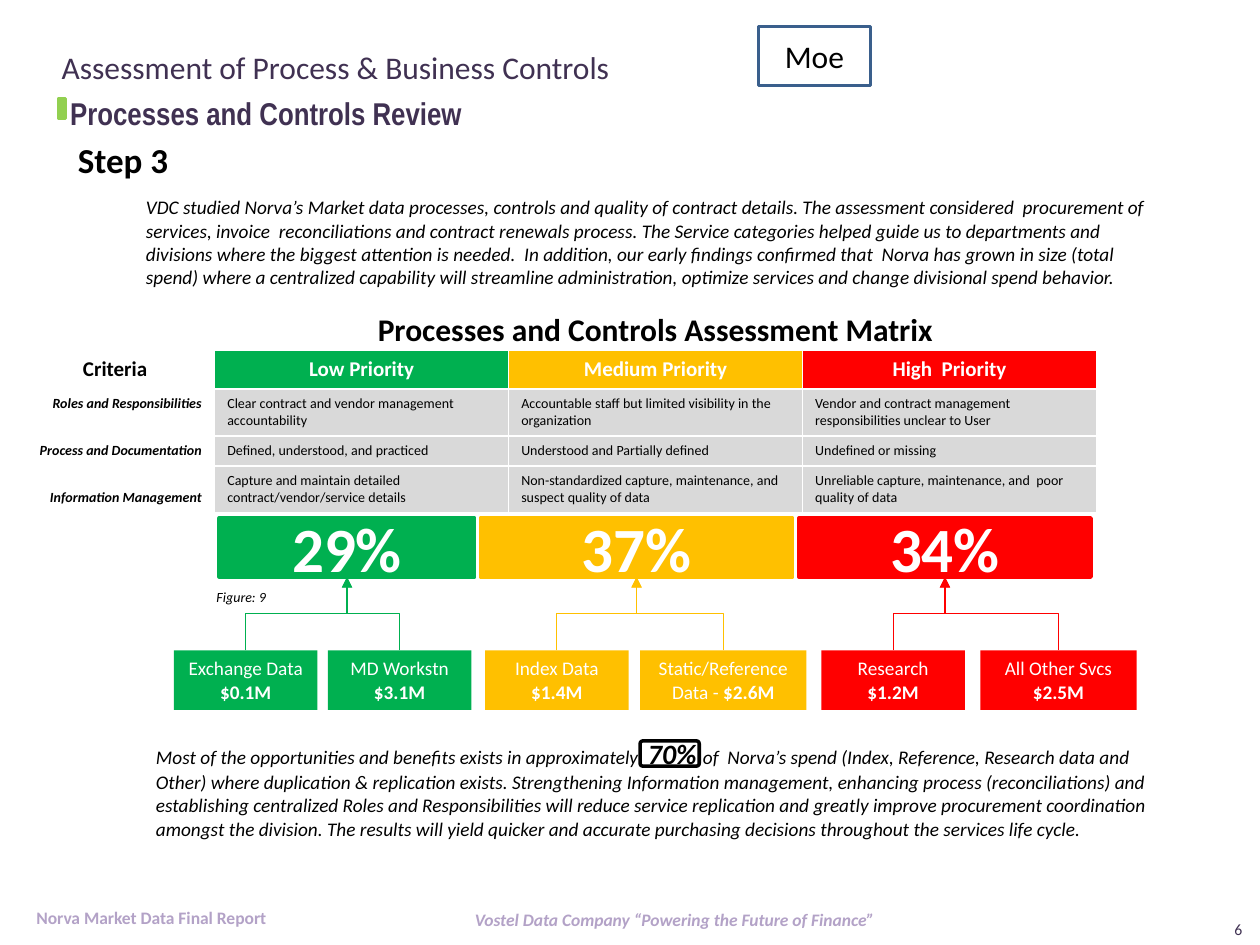
from pptx import Presentation
from pptx.dml.color import RGBColor
from pptx.enum.shapes import MSO_CONNECTOR as Connector, MSO_SHAPE as Shape
from pptx.enum.text import MSO_ANCHOR as Anchor, MSO_AUTO_SIZE as AutoSize, PP_ALIGN as Align
from pptx.oxml.ns import qn
from pptx.util import Pt
from lxml.etree import SubElement

GREEN = RGBColor(0x00, 0xB0, 0x50)
AMBER = RGBColor(0xFF, 0xC0, 0x00)
RED = RGBColor(0xFF, 0x00, 0x00)
LIME = RGBColor(0x92, 0xD0, 0x50)
PURPLE = RGBColor(0x40, 0x31, 0x52)
LILAC = RGBColor(0xB3, 0xA2, 0xC7)
BLUE = RGBColor(0x3A, 0x5F, 0x8C)
GREY = RGBColor(0xD9, 0xD9, 0xD9)
WHITE = RGBColor(0xFF, 0xFF, 0xFF)
BLACK = RGBColor(0x00, 0x00, 0x00)

SERVICE_TOP, SERVICE_HEIGHT = 371.7, 34
SHARE_TOP, SHARE_HEIGHT = 296, 33.8

# Colour, share, left, width, then services: name, amount, left, width, one paragraph
PRIORITIES = [
    (GREEN, "29%", 125.3, 146, [("Exchange Data", "$0.1M", 99.4, 82, False),
                                ("MD Workstn", "$3.1M", 187.4, 82, False)]),
    (AMBER, "37%", 274.5, 178.5, [("Index Data", "$1.4M", 277.2, 82, False),
                                  ("Static/Reference Data - ", "$2.6M", 365.8, 95, True)]),
    (RED, "34%", 456.5, 167, [("Research", "$1.2M", 469.4, 82, False),
                              ("All Other Svcs", "$2.5M", 560.2, 89.3, False)]),
]

MATRIX = [
    ["Criteria", "Low Priority", "Medium Priority", "High  Priority"],
    ["Roles and Responsibilities", "Clear contract and vendor management accountability",
     "Accountable staff but limited visibility in the organization",
     "Vendor and contract management responsibilities unclear to User"],
    ["Process and Documentation", "Defined, understood, and practiced",
     "Understood and Partially defined", "Undefined or missing"],
    ["Information Management", "Capture and maintain detailed contract/vendor/service details",
     "Non-standardized capture, maintenance, and suspect quality of data",
     "Unreliable capture, maintenance, and  poor quality of data"],
]
ROW_HEIGHTS = [22, 26.7, 17, 26.7]
COLUMN_WIDTHS = [113.8, 168, 168, 168]

INTRO = (
    "VDC studied Norva’s Market data processes, controls and quality of contract details. "
    "The assessment considered  procurement of services, invoice  reconciliations and contract "
    "renewals process. The Service categories helped guide us to departments and divisions where "
    "the biggest attention is needed.  In addition, our early findings confirmed that  Norva has "
    "grown in size (total spend) where a centralized capability will streamline administration, "
    "optimize services and change divisional spend behavior.")
SUMMARY_START = "Most of the opportunities and benefits exists in approximately  "
SUMMARY_END = (
    "of  Norva’s spend (Index, Reference, Research data and Other) where duplication & "
    "replication exists. Strengthening Information management, enhancing process "
    "(reconciliations) and establishing centralized Roles and Responsibilities will reduce "
    "service replication and greatly improve procurement coordination amongst the division. "
    "The results will yield quicker and accurate purchasing decisions throughout the services "
    "life cycle.")


def format_font(font, size, color, bold=False, italic=False, name="Calibri"):
    font.name, font.size, font.bold, font.italic = name, Pt(size), bold, italic
    font.color.rgb = color


def add_run(paragraph, text, size, color, **style):
    run = paragraph.add_run()
    run.text = text
    format_font(run.font, size, color, **style)


def write(frame, text, size, color, align=Align.LEFT, anchor=Anchor.TOP, wrap=True, **style):
    frame.auto_size = AutoSize.NONE
    frame.word_wrap = wrap
    frame.vertical_anchor = anchor
    frame.text = text
    paragraph = frame.paragraphs[0]
    paragraph.alignment = align
    format_font(paragraph.runs[0].font, size, color, **style)


def add_text(slide, box, text, size, color, **options):
    shape = slide.shapes.add_textbox(*map(Pt, box))
    write(shape.text_frame, text, size, color, **options)
    return shape


def add_box(slide, box, fill=None, line=None, kind=Shape.RECTANGLE):
    shape = slide.shapes.add_shape(kind, *map(Pt, box))
    shape.shadow.inherit = False
    if fill is None:
        shape.fill.background()
    else:
        shape.fill.solid()
        shape.fill.fore_color.rgb = fill
    if line is None:
        shape.line.fill.background()
    else:
        shape.line.color.rgb = line
        shape.line.width = Pt(2)
    return shape


def add_rising_arrow(slide, start, end, color):
    """Elbow arrow that leaves upwards: a sideways elbow turned by 270 degrees."""
    (start_x, start_y), (end_x, end_y) = start, end
    rise, shift = start_y - end_y, end_x - start_x
    middle_x, middle_y = (start_x + end_x) / 2, (start_y + end_y) / 2
    connector = slide.shapes.add_connector(
        Connector.ELBOW, Pt(middle_x - rise / 2), Pt(middle_y - shift / 2),
        Pt(middle_x + rise / 2), Pt(middle_y + shift / 2))
    connector.line.color.rgb = color
    connector.line.width = Pt(0.75)
    properties = connector._element.spPr
    properties.find(qn("a:xfrm")).set("rot", "16200000")
    SubElement(properties.find(qn("a:ln")), qn("a:tailEnd"), type="triangle")
    SubElement(properties, qn("a:effectLst"))


def add_service(slide, color, name, amount, left, width, one_paragraph):
    shape = add_box(slide, (left, SERVICE_TOP, width, SERVICE_HEIGHT), color)
    frame = shape.text_frame
    write(frame, name, 11, WHITE, align=Align.CENTER)
    paragraph = frame.paragraphs[0] if one_paragraph else frame.add_paragraph()
    paragraph.alignment = Align.CENTER
    add_run(paragraph, amount, 11, WHITE, bold=True)


def add_priority(slide, color, share, left, width, services):
    shape = add_box(slide, (left, SHARE_TOP, width, SHARE_HEIGHT), color, color)
    write(shape.text_frame, share, 36, WHITE, align=Align.CENTER, anchor=Anchor.MIDDLE, bold=True)
    tip = (left + width / 2, SHARE_TOP + SHARE_HEIGHT)
    for service in services:
        add_service(slide, color, *service)
        service_left, service_width = service[2:4]
        add_rising_arrow(slide, (service_left + service_width / 2, SERVICE_TOP), tip, color)


def add_matrix(slide):
    box = (8.9, 200.2, sum(COLUMN_WIDTHS), sum(ROW_HEIGHTS))
    table = slide.shapes.add_table(len(MATRIX), len(COLUMN_WIDTHS), *map(Pt, box)).table
    table.horz_banding = False
    for column, width in zip(table.columns, COLUMN_WIDTHS):
        column.width = Pt(width)
    header_fills = [WHITE, GREEN, AMBER, RED]
    for i, (row, height) in enumerate(zip(table.rows, ROW_HEIGHTS)):
        row.height = Pt(height)
        for j, cell in enumerate(row.cells):
            header, label = i == 0, j == 0
            cell.text = MATRIX[i][j]
            cell.fill.solid()
            cell.fill.fore_color.rgb = header_fills[j] if header else WHITE if label else GREY
            if header:
                cell.vertical_anchor = Anchor.MIDDLE
            elif label and i == len(MATRIX) - 1:
                cell.vertical_anchor = Anchor.BOTTOM
            paragraph = cell.text_frame.paragraphs[0]
            paragraph.alignment = Align.CENTER if header else Align.RIGHT if label else Align.LEFT
            format_font(paragraph.runs[0].font, 12 if header else 8,
                        WHITE if header and not label else BLACK,
                        bold=header or label, italic=label and not header)


def add_headings(slide):
    title = slide.shapes.title
    title.left, title.top, title.width, title.height = map(Pt, (28, 32.4, 407.5, 12.2))
    write(title.text_frame, "Assessment of Process & Business Controls", 18, PURPLE,
          anchor=Anchor.MIDDLE)
    add_text(slide, (33, 54.7, 531, 19.4), "Processes and Controls Review", 18, PURPLE,
             anchor=Anchor.MIDDLE, bold=True, name="Arial Narrow")
    add_box(slide, (33.8, 56.2, 3.6, 11.5), LIME, LIME)
    add_text(slide, (37.4, 75.6, 67, 31.7), "Step 3", 20, BLACK, wrap=False, bold=True)
    tag = add_box(slide, (433.4, 15.1, 64, 33.8), line=BLUE)
    write(tag.text_frame, "Moe", 18, BLACK, align=Align.CENTER, anchor=Anchor.MIDDLE)


def add_summary(slide):
    shape = add_text(slide, (82, 417.6, 586.8, 67), SUMMARY_START, 11, BLACK, italic=True)
    paragraph = shape.text_frame.paragraphs[0]
    add_run(paragraph, "70% ", 16, BLACK, bold=True, italic=True)
    add_run(paragraph, SUMMARY_END, 11, BLACK, italic=True)
    frame = add_box(slide, (365.8, 423.4, 33.8, 14.4), line=BLACK, kind=Shape.ROUNDED_RECTANGLE)
    frame.adjustments[0] = 0.11


def add_footer(slide):
    add_text(slide, (11.2, 514.8, 150.5, 19.4), "Norva Market Data Final Report", 10, LILAC,
             align=Align.CENTER, wrap=False, bold=True)
    add_text(slide, (257.6, 516.2, 255.6, 19.4),
             "Vostel Data Company “Powering the Future of Finance”", 10, LILAC,
             align=Align.CENTER, wrap=False, bold=True, italic=True)
    add_text(slide, (689, 524.9, 28, 12.2), "6", 9, PURPLE,
             align=Align.RIGHT, anchor=Anchor.MIDDLE)


def main():
    presentation = Presentation()
    presentation.slide_width, presentation.slide_height = Pt(720), Pt(540)
    slide = presentation.slides.add_slide(presentation.slide_layouts[5])

    # Headings and introduction
    add_headings(slide)
    add_text(slide, (76.3, 108, 586.8, 60.5), INTRO, 11, BLACK, anchor=Anchor.MIDDLE, italic=True)

    # Assessment matrix, with shares and services below
    add_text(slide, (208.8, 173.5, 338.4, 28.8), "Processes and Controls Assessment Matrix",
             18, BLACK, wrap=False, bold=True)
    add_matrix(slide)
    for priority in PRIORITIES:
        add_priority(slide, *priority)
    add_text(slide, (116.6, 332.6, 44.6, 17.3), "Figure: 9", 8, BLACK, wrap=False, italic=True)

    # Conclusion and footer
    add_summary(slide)
    add_footer(slide)
    presentation.save("out.pptx")


if __name__ == "__main__":
    main()
